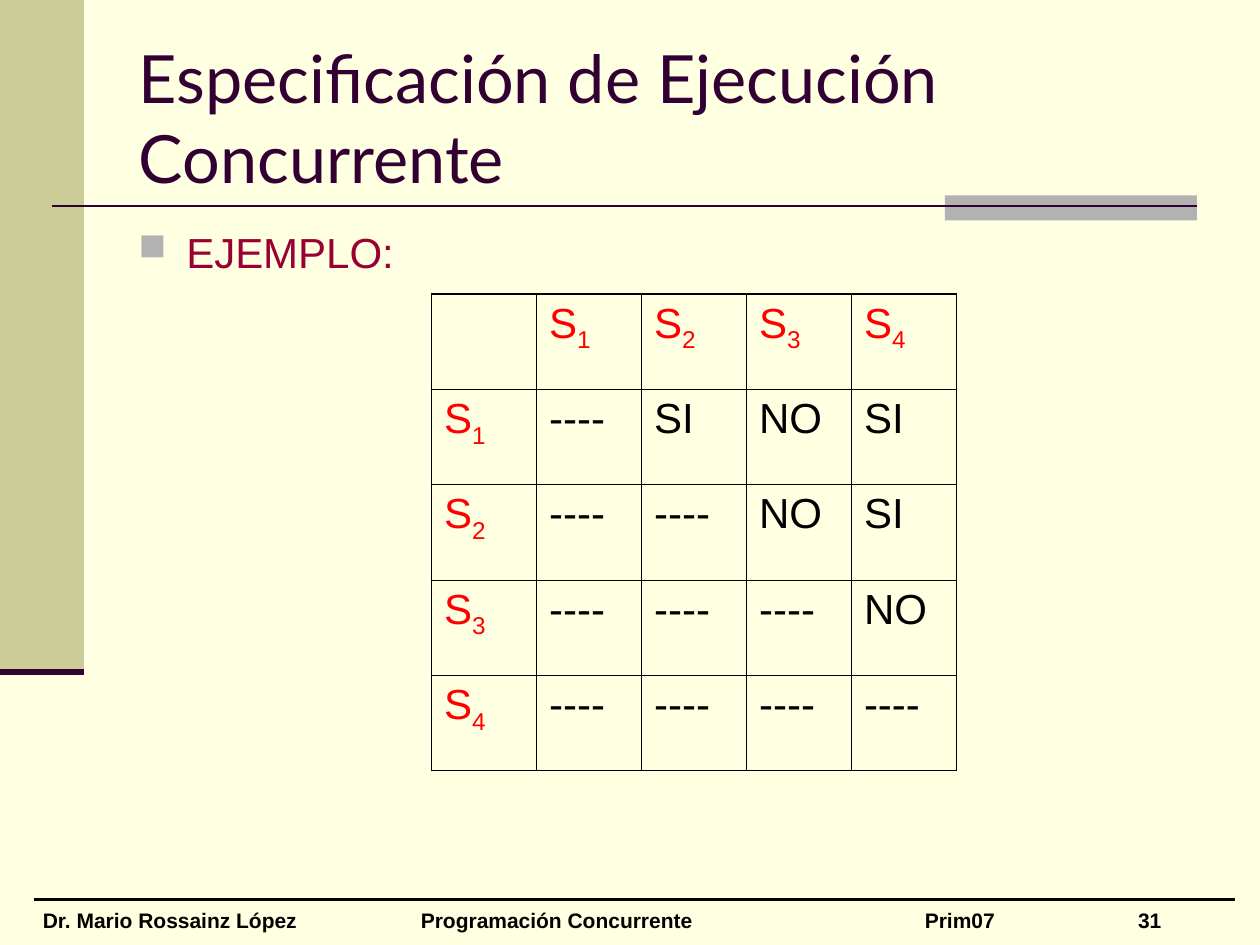
from collections import namedtuple
from dataclasses import dataclass

from lxml.etree import SubElement
from pptx import Presentation
from pptx.dml.color import RGBColor
from pptx.enum.shapes import MSO_CONNECTOR, MSO_SHAPE
from pptx.enum.text import MSO_ANCHOR, MSO_AUTO_SIZE, PP_ALIGN
from pptx.oxml import parse_xml
from pptx.oxml.ns import nsdecls, qn
from pptx.util import Inches, Pt

COLUMNS, ROWS = 120, 90
UNIT = Inches(10) // COLUMNS


@dataclass(frozen=True)
class Theme:
    paper: str = "FFFFE1"
    sidebar: str = "CCCC99"
    accent: str = "B2B2B2"
    plum: str = "330033"
    wine: str = "990033"
    heading: str = "FF0000"
    ink: str = "000000"
    title_font: str = "Lato"
    text_font: str = "Arial"
    title_size: int = 38
    text_size: int = 24
    footer_size: int = 12
    outer_border: float = 1.08
    inner_border: float = 0.45


THEME = Theme()
Box = namedtuple("Box", "left top width height")


def grid(*units):
    return [round(unit * UNIT) for unit in units]


def write_text(frame, text, subscript="", size=THEME.text_size, color=THEME.ink,
               font=THEME.text_font, bold=False, anchor=MSO_ANCHOR.TOP,
               bullet=None, tabs=()):
    frame.word_wrap = True
    frame.vertical_anchor = anchor
    paragraph = frame.paragraphs[0]
    paragraph.alignment = PP_ALIGN.LEFT
    properties = paragraph._p.get_or_add_pPr()
    if bullet:
        indent = Inches(0.38)
        properties.set("marL", str(indent))
        properties.set("indent", str(-indent))
        tint = SubElement(properties, qn("a:buClr"))
        SubElement(tint, qn("a:srgbClr")).set("val", THEME.accent)
        SubElement(properties, qn("a:buSzPct")).set("val", "90000")
        SubElement(properties, qn("a:buChar")).set("char", bullet)
    if tabs:
        stops = SubElement(properties, qn("a:tabLst"))
        for position in grid(*tabs):
            stop = SubElement(stops, qn("a:tab"))
            stop.set("pos", str(position))
            stop.set("algn", "l")
    for content in filter(None, (text, subscript)):
        run = paragraph.add_run()
        run.text = content
        run.font.name = font
        run.font.size = Pt(size)
        run.font.bold = bold
        run.font.color.rgb = RGBColor.from_string(color)
        if content is subscript:
            run._r.get_or_add_rPr().set("baseline", "-25000")


def add_block(slide, box, color):
    block = slide.shapes.add_shape(MSO_SHAPE.RECTANGLE, *grid(*box))
    block.shadow.inherit = False
    block.fill.solid()
    block.fill.fore_color.rgb = RGBColor.from_string(color)
    block.line.fill.background()


def add_rule(slide, left, top, width, color, weight):
    rule = slide.shapes.add_connector(
        MSO_CONNECTOR.STRAIGHT, *grid(left, top, left + width, top))
    rule.line.color.rgb = RGBColor.from_string(color)
    rule.line.width = Pt(weight)
    SubElement(rule._element.spPr, qn("a:effectLst"))


def add_sidebar(slide, box):
    add_block(slide, box, THEME.sidebar)
    add_rule(slide, box.left, box.top + box.height, box.width, THEME.plum, 3.5)


def add_title_rule(slide, box):
    tab_width = 24
    add_block(slide, (box.left + box.width - tab_width, box.top, tab_width, box.height),
              THEME.accent)
    add_rule(slide, box.left, box.top + box.height * 0.42, box.width, THEME.plum, 1.5)


def add_title(slide, box, text):
    title = slide.shapes.title
    title.left, title.top, title.width, title.height = grid(*box)
    title.text_frame.auto_size = MSO_AUTO_SIZE.NONE
    write_text(title.text_frame, text, size=THEME.title_size, color=THEME.plum,
               font=THEME.title_font, anchor=MSO_ANCHOR.MIDDLE)


def add_body(slide, box, text):
    body = slide.shapes.add_textbox(*grid(*box))
    write_text(body.text_frame, text, color=THEME.wine, bullet="■")


def add_footer(slide, box, *entries):
    add_rule(slide, box.left, box.top, box.width, THEME.ink, 1.5)
    footer = slide.shapes.add_textbox(
        *grid(box.left - 0.3, box.top + 0.1, box.width, box.height))
    write_text(footer.text_frame, "\t".join(entries), size=THEME.footer_size,
               bold=True, tabs=(36, 84, 104.3))


def set_borders(cell, outer_sides):
    properties = cell._tc.get_or_add_tcPr()
    for place, side in enumerate("LRTB"):
        weight = THEME.outer_border if side in outer_sides else THEME.inner_border
        properties.insert(place, parse_xml(
            f'<a:ln{side} {nsdecls("a")} w="{Pt(weight)}"><a:solidFill>'
            f'<a:srgbClr val="{THEME.ink}"/></a:solidFill></a:ln{side}>'))


def add_concurrency_table(slide, box, verdicts):
    count = len(verdicts) + 1
    table = slide.shapes.add_table(count, count, *grid(*box)).table
    table.first_row = table.horz_banding = False
    last = count - 1
    for row in range(count):
        table.rows[row].height = round(box.height * UNIT / count)
        table.columns[row].width = round(box.width * UNIT / count)
        for column in range(count):
            cell = table.cell(row, column)
            cell.fill.background()
            edges = {"L": column == 0, "R": column == last,
                     "T": row == 0, "B": row == last}
            set_borders(cell, [side for side, outer in edges.items() if outer])
            if row and column:
                write_text(cell.text_frame, verdicts[row - 1][column - 1])
            elif row or column:
                write_text(cell.text_frame, "S", subscript=str(row or column),
                           color=THEME.heading)


def main():
    deck = Presentation()
    deck.slide_width, deck.slide_height = grid(COLUMNS, ROWS)
    slide = deck.slides.add_slide(deck.slide_layouts[5])
    slide.background.fill.solid()
    slide.background.fill.fore_color.rgb = RGBColor.from_string(THEME.paper)

    add_sidebar(slide, Box(0, 0, 8, 64))
    add_title_rule(slide, Box(5, 18.6, 109, 2.4))
    add_footer(slide, Box(3.2, 85.7, 114.4, 3.6), "Dr. Mario Rossainz López",
               "Programación Concurrente", "Prim07", "31")
    add_title(slide, Box(12, 3.6, 102, 15), "Especificación de Ejecución Concurrente")
    add_body(slide, Box(12, 21, 50, 59.4), "EJEMPLO:")
    add_concurrency_table(slide, Box(41.1, 28, 50, 45.4), [
        ["----", "SI", "NO", "SI"],
        ["----", "----", "NO", "SI"],
        ["----", "----", "----", "NO"],
        ["----", "----", "----", "----"],
    ])
    deck.save("out.pptx")


if __name__ == "__main__":
    main()
